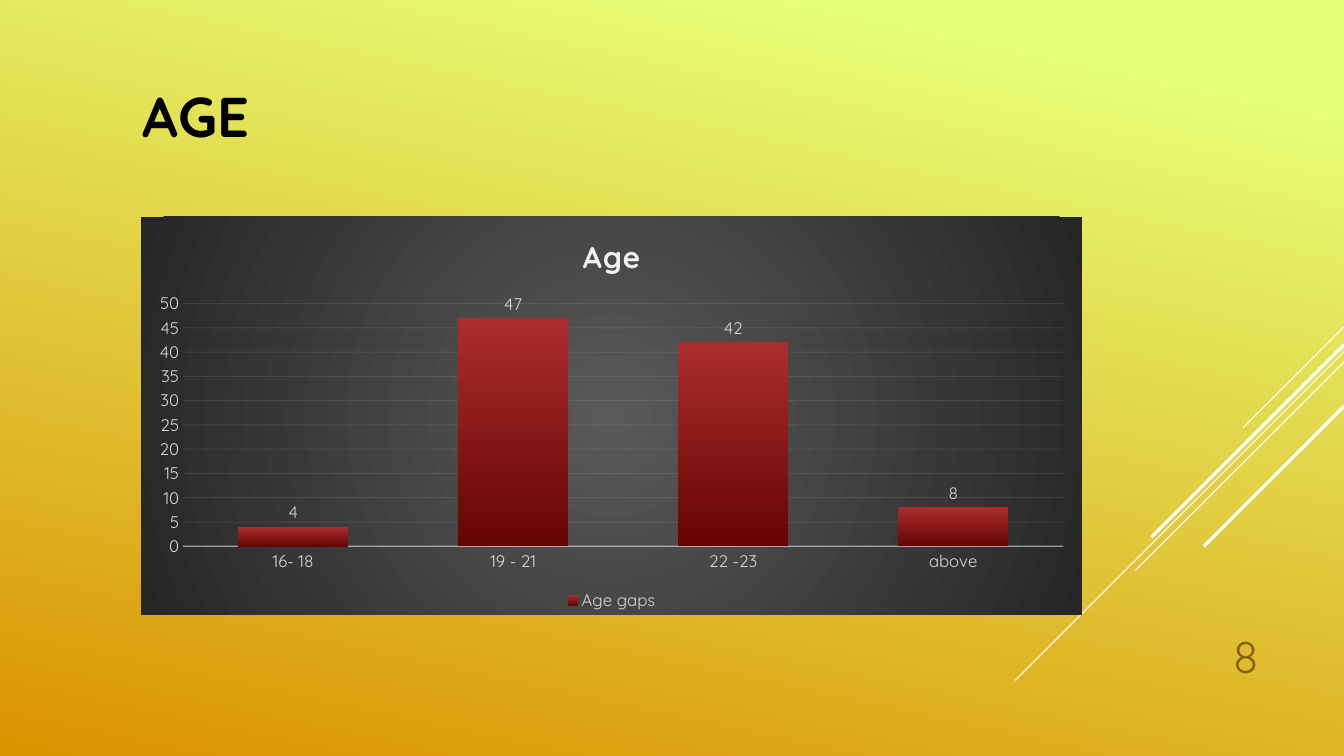
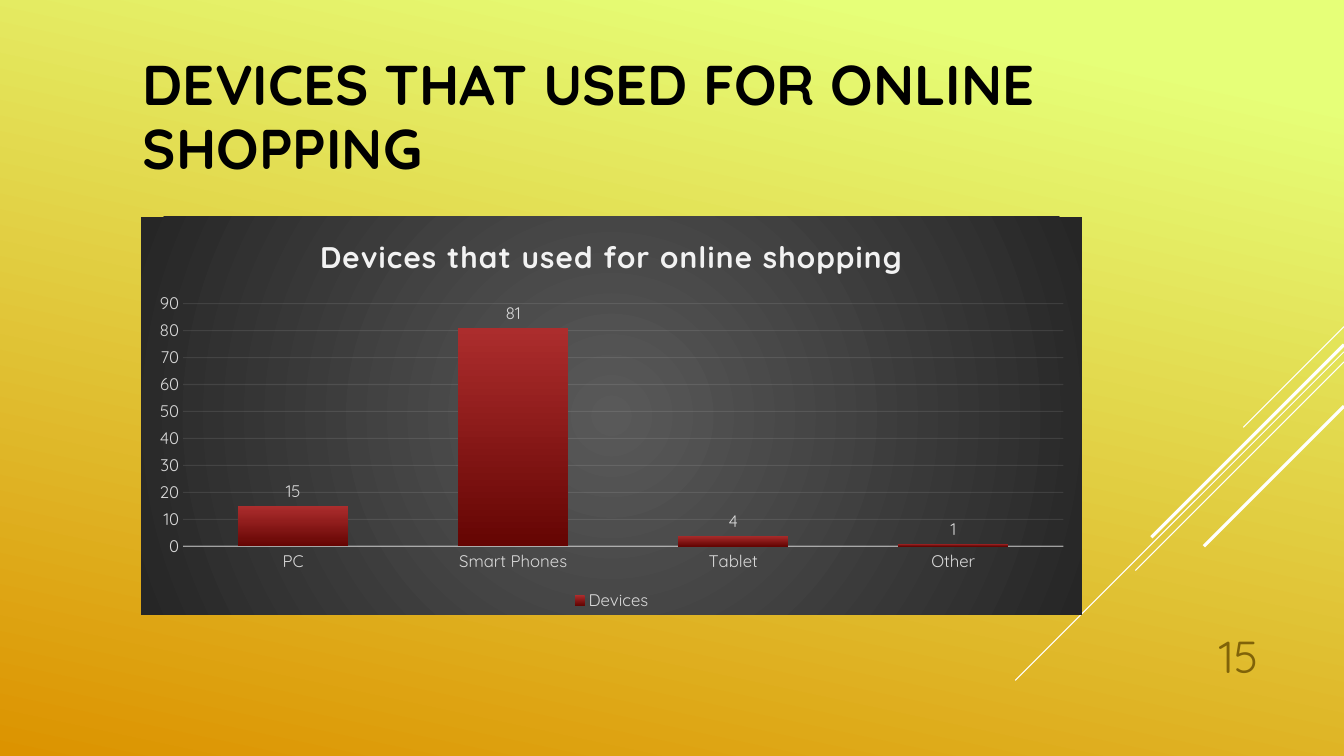
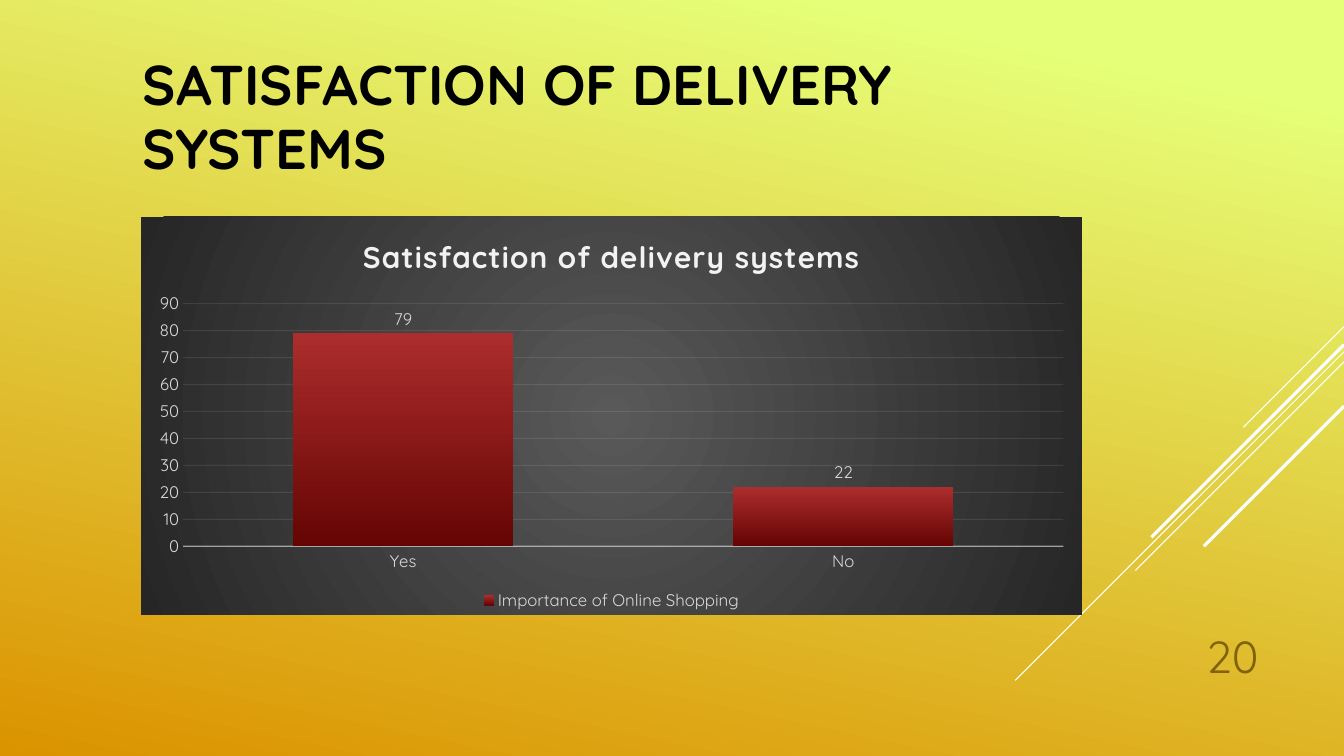
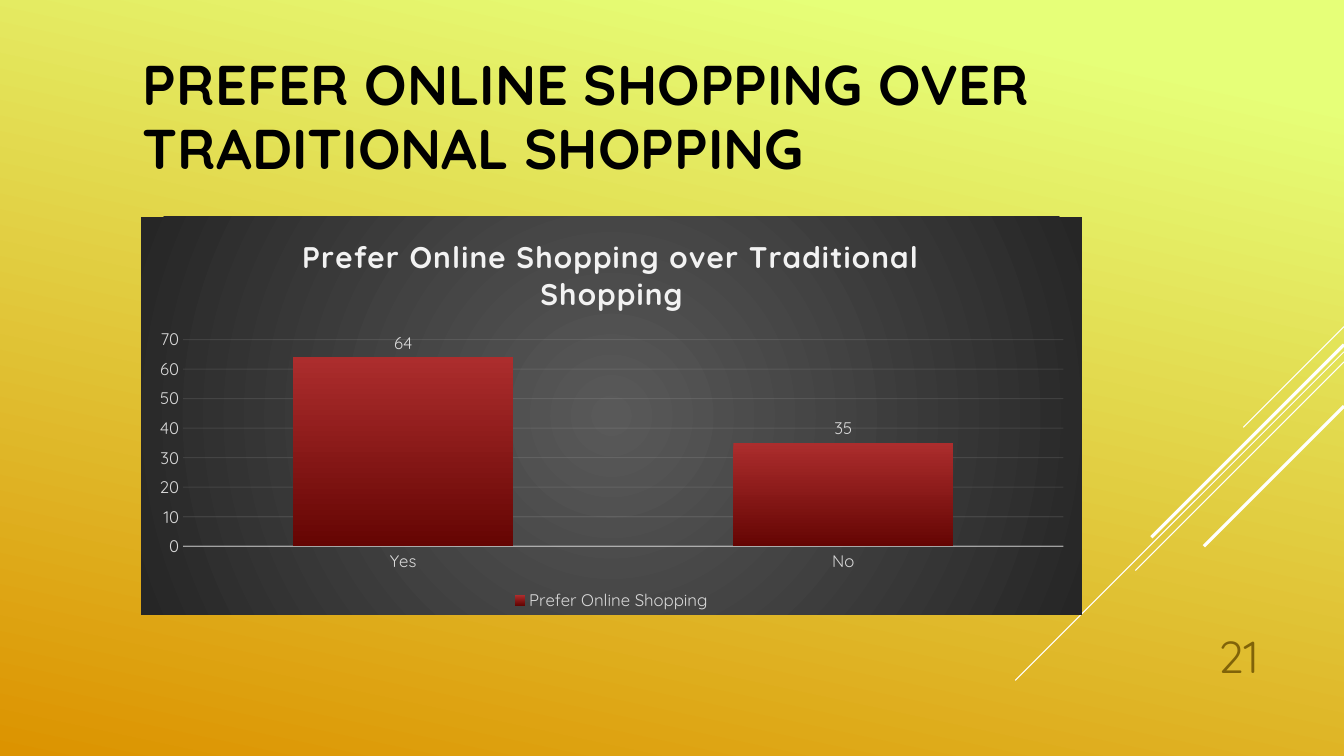
import dataclasses
import typing

import lxml.etree
import pptx
import pptx.chart.data
import pptx.dml.color
import pptx.enum.chart
import pptx.enum.shapes
import pptx.enum.text
import pptx.oxml
import pptx.oxml.ns
import pptx.util

WIDTH, HEIGHT = 13.33, 7.5
FONT = "Quicksand"
BLACK, WHITE = "000000", "FFFFFF"
LABEL, RULE, NUMBER = "D9D9D9", "F2F2F2", "806309"
BACKDROP = (("E6FF78", 0.1), ("DC9300", 1.0))
COLUMN_SHADE = (("AC2D2D", 0.0), ("650503", 1.0))
PANEL_CENTRE, PANEL_EDGE = "595959", "262626"
LABEL_SIZE = 12
PLOT_LEFT, PLOT_WIDTH, PLOT_BOTTOM = 0.0447, 0.9357, 0.828
Inches = pptx.util.Inches


class Box(typing.NamedTuple):
    left: float
    top: float
    width: float
    height: float


class Streak(typing.NamedTuple):
    start: float
    run: float
    weight: float


@dataclasses.dataclass(frozen=True)
class Survey:
    heading: str
    caption: str
    series: str
    answers: dict[str, int]
    top_value: int
    step: int
    number: int
    plot_top: float = 0.2183


HEADING_BOX = Box(1.32, 0.35, 9.33, 1.65)
CHART_BOX = Box(1.4, 2.15, 9.33, 3.95)
NUMBER_BOX = Box(11.33, 6.1, 1.25, 0.73)

STREAKS = (
    Streak(3.24, 1.0, 0.75),
    Streak(3.49, 3.26, 0.75),
    Streak(3.59, 2.07, 0.75),
    Streak(3.42, 1.91, 2.25),
    Streak(4.03, 1.39, 2.25),
)

SURVEYS = (
    Survey("AGE", "Age", "Age gaps",
           {"16- 18": 4, "19 - 21": 47, "22 -23": 42, "above": 8}, 50, 5, 8),
    Survey("DEVICES THAT USED FOR ONLINE SHOPPING",
           "Devices that used for online shopping", "Devices",
           {"PC": 15, "Smart Phones": 81, "Tablet": 4, "Other": 1}, 90, 10, 15),
    Survey("SATISFACTION OF DELIVERY SYSTEMS",
           "Satisfaction of delivery systems", "Importance of Online Shopping",
           {"Yes": 79, "No": 22}, 90, 10, 20),
    Survey("PREFER ONLINE SHOPPING OVER TRADITIONAL SHOPPING",
           "Prefer Online Shopping over Traditional Shopping",
           "Prefer Online Shopping",
           {"Yes": 64, "No": 35}, 70, 10, 21, plot_top=0.3087),
)


def color(value: str) -> pptx.dml.color.RGBColor:
    return pptx.dml.color.RGBColor.from_string(value)


def place(box: Box) -> tuple:
    return tuple(Inches(length) for length in box)


def style(font, size: float, hue: str, bold: bool = False) -> None:
    font.name = FONT
    font.size = pptx.util.Pt(size)
    font.bold = bold
    font.color.rgb = color(hue)


def shade(fill, stops: tuple, angle: float) -> None:
    fill.gradient()
    fill.gradient_angle = 360 - angle
    for stop, (hue, position) in zip(fill.gradient_stops, stops):
        stop.color.rgb = color(hue)
        stop.position = position


def add_streak(slide, streak: Streak) -> None:
    line = slide.shapes.add_connector(
        pptx.enum.shapes.MSO_CONNECTOR.STRAIGHT,
        Inches(WIDTH), Inches(streak.start),
        Inches(WIDTH - streak.run), Inches(streak.start + streak.run))
    line.line.color.rgb = color(WHITE)
    line.line.width = pptx.util.Pt(streak.weight)
    properties = line.element.find(pptx.oxml.ns.qn("p:spPr"))
    lxml.etree.SubElement(properties, pptx.oxml.ns.qn("a:effectLst"))


def add_text(slide, box: Box, words: str, size: float, hue: str, anchor, align,
             bold: bool = False) -> None:
    frame = slide.shapes.add_textbox(*place(box)).text_frame
    frame.word_wrap = True
    frame.vertical_anchor = anchor
    paragraph = frame.paragraphs[0]
    paragraph.alignment = align
    paragraph.line_spacing = 0.95
    run = paragraph.add_run()
    run.text = words
    style(run.font, size, hue, bold)


def fill_panel(chart) -> None:
    stops = "".join(
        f'<a:gs pos="{position}"><a:srgbClr val="{hue}"/></a:gs>'
        for position, hue in ((0, PANEL_CENTRE), (100000, PANEL_EDGE)))
    panel = pptx.oxml.parse_xml(
        f'<c:spPr {pptx.oxml.ns.nsdecls("c", "a")}><a:gradFill><a:gsLst>{stops}</a:gsLst>'
        '<a:path path="circle"><a:fillToRect l="50000" t="50000" r="50000" b="50000"/>'
        '</a:path></a:gradFill><a:ln><a:noFill/></a:ln></c:spPr>')
    chart.element.find(pptx.oxml.ns.qn("c:chart")).addnext(panel)


def place_plot(chart, top: float) -> None:
    plot_area = chart.element.xpath("c:chart/c:plotArea")[0]
    for layout in plot_area.xpath("c:layout"):
        plot_area.remove(layout)
    shares = {"x": PLOT_LEFT, "y": top, "w": PLOT_WIDTH, "h": PLOT_BOTTOM - top}
    values = "".join(f'<c:{key} val="{share:.4f}"/>' for key, share in shares.items())
    plot_area.insert(0, pptx.oxml.parse_xml(
        f'<c:layout {pptx.oxml.ns.nsdecls("c")}><c:manualLayout>'
        '<c:layoutTarget val="inner"/><c:xMode val="edge"/><c:yMode val="edge"/>'
        f'{values}</c:manualLayout></c:layout>'))


def rule(chart, line, where: str, weight: float, opacity: int) -> None:
    line.color.rgb = color(RULE)
    line.width = pptx.util.Pt(weight)
    hue = chart.element.xpath(f"c:chart/c:plotArea/{where}/c:spPr/a:ln//a:srgbClr")[0]
    alpha = lxml.etree.SubElement(hue, pptx.oxml.ns.qn("a:alpha"))
    alpha.set("val", str(opacity * 1000))


def add_survey_chart(slide, survey: Survey) -> None:
    data = pptx.chart.data.CategoryChartData()
    data.categories = list(survey.answers)
    data.add_series(survey.series, list(survey.answers.values()))
    chart = slide.shapes.add_chart(
        pptx.enum.chart.XL_CHART_TYPE.COLUMN_CLUSTERED, *place(CHART_BOX), data).chart
    style(chart.font, 10, WHITE)
    fill_panel(chart)
    place_plot(chart, survey.plot_top)

    chart.has_title = True
    caption = chart.chart_title.text_frame.paragraphs[0].add_run()
    caption.text = survey.caption
    style(caption.font, 21.3, RULE, True)
    chart.element.xpath("c:chart/c:title//a:r/a:rPr")[0].set("spc", "100")
    chart.chart_title.include_in_layout = False

    chart.has_legend = True
    chart.legend.position = pptx.enum.chart.XL_LEGEND_POSITION.BOTTOM
    chart.legend.include_in_layout = False
    style(chart.legend.font, LABEL_SIZE, LABEL)

    for axis in (chart.category_axis, chart.value_axis):
        axis.major_tick_mark = pptx.enum.chart.XL_TICK_MARK.NONE
        axis.minor_tick_mark = pptx.enum.chart.XL_TICK_MARK.NONE
        style(axis.tick_labels.font, LABEL_SIZE, LABEL)
    rule(chart, chart.category_axis.format.line, "c:catAx", 1, 54)
    scale = chart.value_axis
    scale.minimum_scale, scale.maximum_scale = 0, survey.top_value
    scale.major_unit = survey.step
    scale.format.line.fill.background()
    scale.has_major_gridlines = True
    rule(chart, scale.major_gridlines.format.line, "c:valAx/c:majorGridlines", 0.75, 10)

    plot = chart.plots[0]
    plot.gap_width, plot.overlap = 100, -24
    plot.vary_by_categories = False
    shade(plot.series[0].format.fill, COLUMN_SHADE, 90)
    labels = plot.series[0].data_labels
    labels.show_value = True
    labels.position = pptx.enum.chart.XL_LABEL_POSITION.OUTSIDE_END
    style(labels.font, LABEL_SIZE, LABEL)


def add_survey_slide(deck, survey: Survey) -> None:
    slide = deck.slides.add_slide(deck.slide_layouts[6])
    shade(slide.background.fill, BACKDROP, 102)
    for streak in STREAKS:
        add_streak(slide, streak)
    anchors, aligns = pptx.enum.text.MSO_ANCHOR, pptx.enum.text.PP_ALIGN
    add_text(slide, HEADING_BOX, survey.heading, 40, BLACK,
             anchors.MIDDLE, aligns.LEFT, bold=True)
    add_survey_chart(slide, survey)
    add_text(slide, NUMBER_BOX, str(survey.number), 32, NUMBER,
             anchors.BOTTOM, aligns.RIGHT)


def main() -> None:
    deck = pptx.Presentation()
    deck.slide_width, deck.slide_height = Inches(WIDTH), Inches(HEIGHT)
    for survey in SURVEYS:
        add_survey_slide(deck, survey)
    deck.save("out.pptx")


if __name__ == "__main__":
    main()
